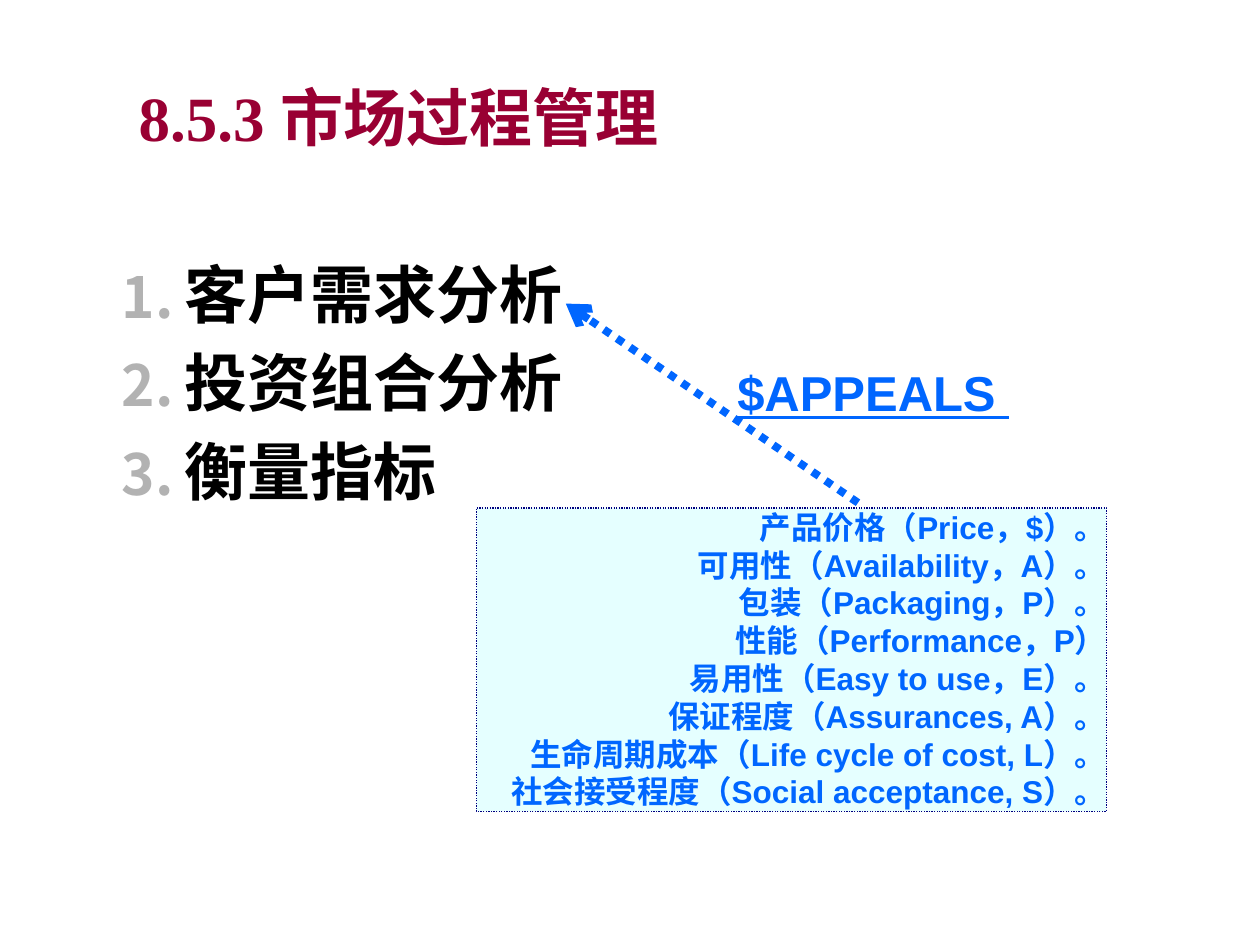
from lxml.etree import SubElement
from pptx import Presentation
from pptx.dml.color import RGBColor
from pptx.enum.dml import MSO_LINE_DASH_STYLE as Dash
from pptx.enum.shapes import MSO_CONNECTOR as Connector, MSO_SHAPE as Shape
from pptx.enum.text import MSO_ANCHOR as Anchor, MSO_AUTO_SIZE as AutoSize, PP_ALIGN as Align
from pptx.oxml.ns import qn
from pptx.util import Pt

COLORS = {"title": "990033", "body": "000000", "number": "B2B2B2",
          "accent": "0066FF", "panel": "CCFFFF", "border": "000080"}
NO_INSETS = {"margin_left": 0, "margin_top": 0, "margin_right": 0, "margin_bottom": 0}
STEPS = ["客户需求分析 ", "投资组合分析 ", "衡量指标 "]
APPEALS = [
    "产品价格（Price，$）。",
    "可用性（Availability，A）。",
    "包装（Packaging，P）。",
    "性能（Performance，P）",
    "易用性（Easy to use，E）。",
    "保证程度（Assurances, A）。",
    "生命周期成本（Life cycle of cost, L）。",
    "社会接受程度（Social acceptance, S）。",
]


def rgb(name):
    """Return the palette colour of that name."""
    return RGBColor.from_string(COLORS[name])


def apply(target, formats):
    """Set every attribute in formats on target."""
    for key, value in formats.items():
        setattr(target, key, value)


def write(frame, lines, color, size, align=Align.LEFT, font="Arial", underline=None, **frame_formats):
    """Fill a text frame with one bold paragraph per line."""
    apply(frame, {"word_wrap": True, "auto_size": AutoSize.NONE, **frame_formats})
    for index, line in enumerate(lines):
        paragraph = frame.add_paragraph() if index else frame.paragraphs[0]
        paragraph.alignment = align
        run = paragraph.add_run()
        run.text = line
        apply(run.font, {"name": font, "size": Pt(size), "bold": True, "underline": underline})
        run.font.color.rgb = rgb(color)


def place(shape, box):
    """Move a shape to a (left, top, width, height) box in points."""
    apply(shape, dict(zip(("left", "top", "width", "height"), map(Pt, box))))


def add_heading(slide, box):
    """Format the title placeholder."""
    title = slide.shapes.title
    place(title, box)
    write(title.text_frame, ["8.5.3 市场过程管理"], "title", 36,
          font="Times New Roman", vertical_anchor=Anchor.MIDDLE)


def add_steps(slide, box):
    """Add the numbered list with grey numbers."""
    frame = slide.shapes.add_textbox(*map(Pt, box)).text_frame
    write(frame, STEPS, "body", 36)
    for paragraph in frame.paragraphs:
        paragraph.space_before = Pt(7.2)
        props = paragraph._p.get_or_add_pPr()
        props.set("marL", str(Pt(36)))
        props.set("indent", str(-Pt(36)))
        number_color = SubElement(props, qn("a:buClr"))
        SubElement(number_color, qn("a:srgbClr"), val=COLORS["number"])
        SubElement(props, qn("a:buSzPct"), val="90000")
        SubElement(props, qn("a:buAutoNum"), type="arabicPeriod")


def add_criteria(slide, box):
    """Add the translucent panel listing the criteria."""
    panel = slide.shapes.add_shape(Shape.RECTANGLE, *map(Pt, box))
    panel.shadow.inherit = False
    panel.fill.solid()
    panel.fill.fore_color.rgb = rgb("panel")
    tint = panel.fill._xPr.find(qn("a:solidFill"))[0]
    SubElement(tint, qn("a:alpha"), val="50000")
    panel.line.color.rgb = rgb("border")
    apply(panel.line, {"width": Pt(0.75), "dash_style": Dash.ROUND_DOT})
    write(panel.text_frame, APPEALS, "accent", 18, Align.RIGHT,
          vertical_anchor=Anchor.TOP, **NO_INSETS)


def add_pointer(slide, start, end):
    """Add the dotted arrow from the panel to the first step."""
    arrow = slide.shapes.add_connector(Connector.STRAIGHT, *map(Pt, start + end))
    arrow.line.color.rgb = rgb("accent")
    apply(arrow.line, {"width": Pt(4.5), "dash_style": Dash.ROUND_DOT})
    SubElement(arrow.line._get_or_add_ln(), qn("a:tailEnd"), type="arrow")
    SubElement(arrow._element.spPr, qn("a:effectLst"))


def add_model_name(slide, box):
    """Add the underlined name of the model."""
    label = slide.shapes.add_textbox(*map(Pt, box))
    write(label.text_frame, ["$APPEALS "], "accent", 28, Align.CENTER,
          underline=True, **NO_INSETS)


def main():
    """Build and save the slide."""
    deck = Presentation()
    apply(deck, {"slide_width": Pt(720), "slide_height": Pt(540)})
    slide = deck.slides.add_slide(deck.slide_layouts[5])
    add_heading(slide, (72, 21.6, 612, 90))
    add_steps(slide, (62.6, 142.6, 326, 170))
    add_criteria(slide, (272.2, 290.2, 360, 173.5))
    add_pointer(slide, (490.3, 287.3), (323.3, 173.5))
    add_model_name(slide, (414, 207.4, 170, 33.8))
    deck.save("out.pptx")


main()
